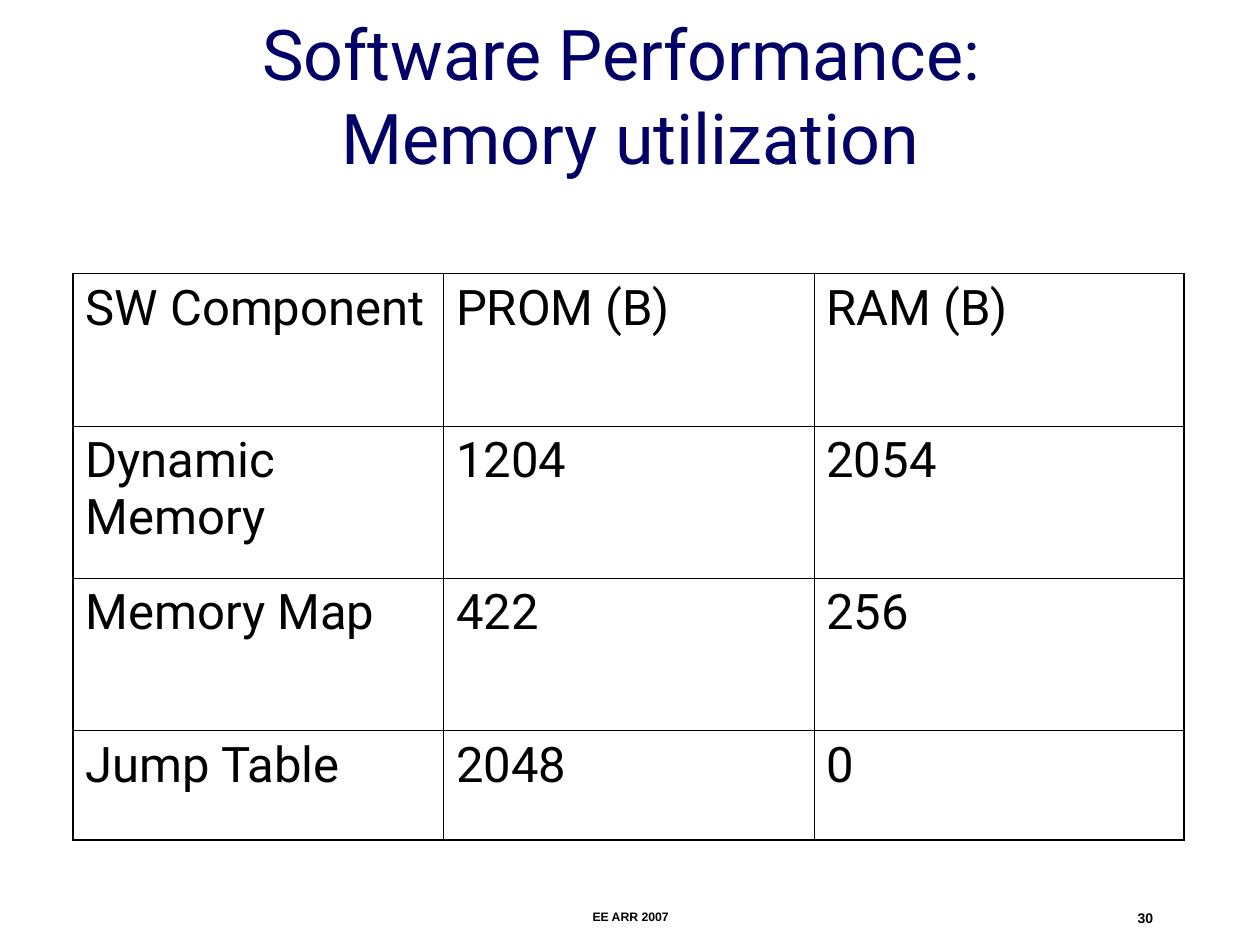
from lxml import etree
from pptx import Presentation
from pptx.dml.color import RGBColor
from pptx.enum.text import MSO_ANCHOR, PP_ALIGN
from pptx.oxml.ns import qn
from pptx.util import Inches, Pt

CENTER, RIGHT = PP_ALIGN.CENTER, PP_ALIGN.RIGHT
MIDDLE, TOP = MSO_ANCHOR.MIDDLE, MSO_ANCHOR.TOP
TITLE_ONLY = 5

NAVY, BLACK = "000066", "000000"
OUTER, INNER = 1.08, 0.45  # table line widths in points

MEMORY_USE = [
    ["SW Component", "PROM (B)", "RAM (B)"],
    ["Dynamic Memory", "1204", "2054"],
    ["Memory Map", "422", "256"],
    ["Jump Table", "2048", "0"],
]
ROW_HEIGHTS = [1.21, 1.21, 1.21, 0.87]
COLUMN_WIDTH = 2.94


def color(hex_value):
    return RGBColor.from_string(hex_value)


def add_run(paragraph, text, font, size, hex_value, bold=False):
    run = paragraph.add_run()
    run.text = text
    run.font.name = font
    run.font.size = Pt(size)
    run.font.bold = bold
    run.font.color.rgb = color(hex_value)


def add_title(slide, lines):
    title = slide.shapes.title
    title.left, title.top = Inches(0.75), Inches(0.25)
    title.width, title.height = Inches(8.5), Inches(1)
    title.text_frame.vertical_anchor = MIDDLE
    paragraph = title.text_frame.paragraphs[0]
    paragraph.alignment = CENTER
    for number, line in enumerate(lines):
        if number:
            paragraph.add_line_break()
        add_run(paragraph, line, "Roboto", 40, NAVY)


def set_borders(cell, widths):
    """Draw black lines on the left, right, top and bottom, in that order."""
    properties = cell._tc.get_or_add_tcPr()
    for position, (side, width) in enumerate(zip("LRTB", widths)):
        line = etree.Element(qn(f"a:ln{side}"), w=str(Pt(width)))
        fill = etree.SubElement(line, qn("a:solidFill"))
        etree.SubElement(fill, qn("a:srgbClr"), val=BLACK)
        properties.insert(position, line)


def add_memory_table(slide, rows):
    row_count, column_count = len(rows), len(rows[0])
    table = slide.shapes.add_table(
        row_count, column_count, Inches(0.58), Inches(2.17),
        Inches(COLUMN_WIDTH * column_count), Inches(sum(ROW_HEIGHTS))).table
    table.first_row = table.horz_banding = False
    for column in table.columns:
        column.width = Inches(COLUMN_WIDTH)
    for row, height in zip(table.rows, ROW_HEIGHTS):
        row.height = Inches(height)

    for r, values in enumerate(rows):
        for c, value in enumerate(values):
            cell = table.cell(r, c)
            cell.fill.background()
            cell.vertical_anchor = TOP
            add_run(cell.text_frame.paragraphs[0], value, "Roboto", 28, BLACK)
            on_edge = (c == 0, c == column_count - 1,
                       r == 0, r == row_count - 1)
            set_borders(cell, [OUTER if edge else INNER for edge in on_edge])


def add_footer(slide, text, left, width, size, alignment):
    footer = slide.shapes.add_textbox(
        Inches(left), Inches(7.17), Inches(width), Inches(0.17))
    footer.text_frame.word_wrap = True
    paragraph = footer.text_frame.paragraphs[0]
    paragraph.alignment = alignment
    add_run(paragraph, text, "Arial", size, BLACK, bold=True)


def main():
    presentation = Presentation()
    presentation.slide_width = Inches(10)
    presentation.slide_height = Inches(7.5)
    slide = presentation.slides.add_slide(
        presentation.slide_layouts[TITLE_ONLY])

    add_title(slide, ["Software Performance: ", "Memory utilization"])
    add_memory_table(slide, MEMORY_USE)

    # Footer and slide number
    add_footer(slide, "EE ARR 2007", 3.42, 3.17, 7, CENTER)
    add_footer(slide, "30", 7.17, 2.08, 8, RIGHT)

    presentation.save("out.pptx")


if __name__ == "__main__":
    main()
